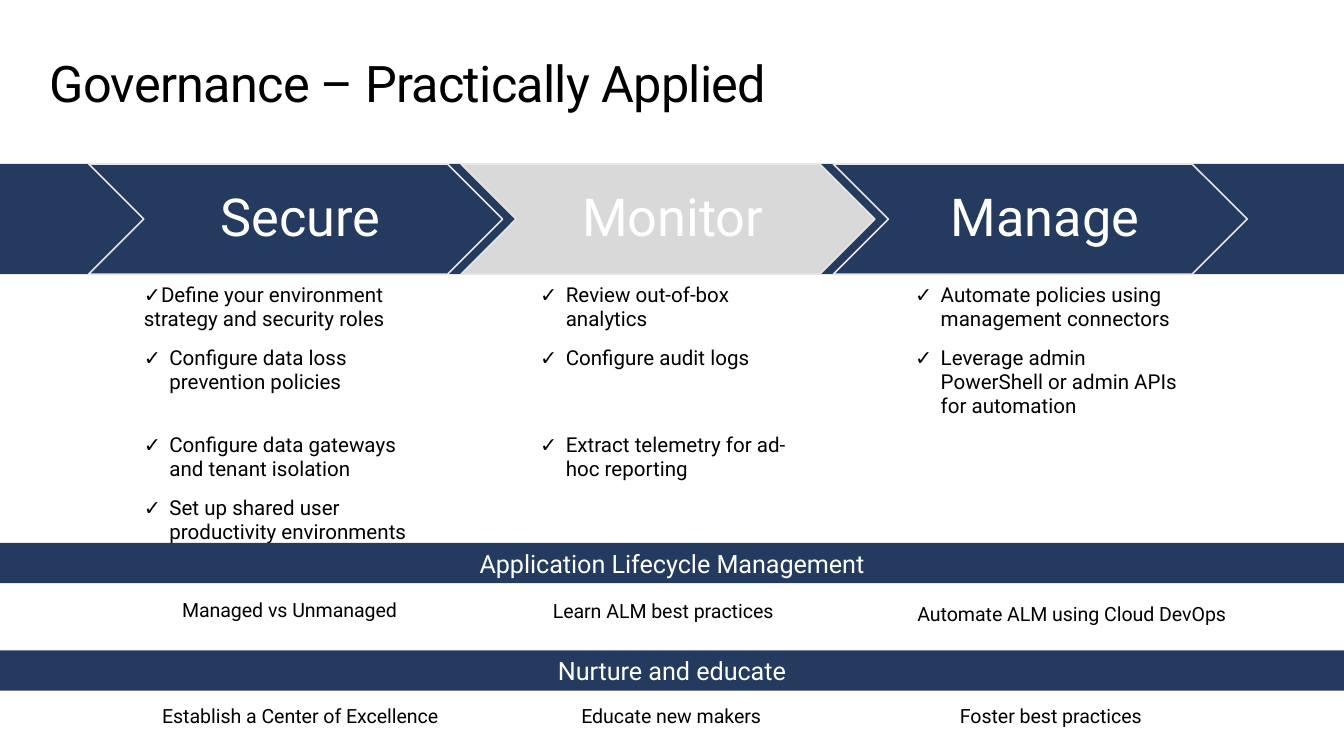
from typing import NamedTuple

from lxml.etree import SubElement
from pptx import Presentation
from pptx.dml.color import RGBColor
from pptx.enum.shapes import MSO_SHAPE as Shape
from pptx.enum.text import MSO_ANCHOR as Anchor, PP_ALIGN as Align
from pptx.oxml.ns import qn
from pptx.util import Emu, Pt

PX = 9144  # 100 px to the inch
FONT = "Roboto"
NAVY, GREY, EDGE = "243A5E", "D9D9D9", "E6E6E6"
BLACK, WHITE = "000000", "FFFFFF"
HANG = 19


class Stage(NamedTuple):
    name: str
    left: int
    fill: str
    tasks: list[str]


class Note(NamedTuple):
    text: str
    left: int
    top: int
    width: int


class Band(NamedTuple):
    name: str
    top: int
    notes: list[Note]


STAGES = [
    Stage("Secure", 66, NAVY, [
        "Define your environment strategy and security roles",
        "Configure data loss prevention policies",
        "Configure data gateways and tenant isolation",
        "Set up shared user productivity environments"]),
    Stage("Monitor", 343, GREY, [
        "Review out-of-box analytics",
        "Configure audit logs",
        "Extract telemetry for ad-hoc reporting"]),
    Stage("Manage", 620, NAVY, [
        "Automate policies using management connectors",
        "Leverage admin PowerShell or admin APIs for automation"]),
]
BANDS = [
    Band("Nurture and educate", 484, [
        Note("Establish a Center of Excellence", 110, 519, 227),
        Note("Foster best practices", 674, 519, 216),
        Note("Educate new makers", 396, 519, 207)]),
    Band("Application Lifecycle Management", 404, [
        Note("Managed vs Unmanaged", 38, 440, 355),
        Note("Learn ALM best practices", 316, 441, 355),
        Note("Automate ALM using Cloud DevOps", 620, 443, 355)]),
]
COLUMNS = [231, 64, 221, 58, 225]
ROW_COUNT, ROW_HEIGHT = 4, 31


def px(*lengths: int) -> list[Emu]:
    return [Emu(length * PX) for length in lengths]


def colour(code: str) -> RGBColor:
    return RGBColor.from_string(code)


def write(frame, text: str, *, size: float, ink: str = BLACK, align=None,
          anchor=None, insets=None, leading=None, tracking: int = 0) -> None:
    frame.word_wrap = True
    if anchor is not None:
        frame.vertical_anchor = anchor
    if insets:
        (frame.margin_left, frame.margin_top,
         frame.margin_right, frame.margin_bottom) = px(*insets)
    para = frame.paragraphs[0]
    para.alignment = align
    para.line_spacing = leading
    span = para.add_run()
    span.text = text
    span.font.name, span.font.size = FONT, Pt(size)
    span.font.color.rgb = colour(ink)
    if tracking:
        span._r.get_or_add_rPr().set("spc", str(tracking))


def add_text(page, place: tuple[int, ...], text: str, **style) -> None:
    write(page.shapes.add_textbox(*px(*place)).text_frame, text, **style)


def add_block(page, kind, place: tuple[int, ...], fill: str, edge: str = ""):
    block = page.shapes.add_shape(kind, *px(*place))
    block.shadow.inherit = False
    block.fill.solid()
    block.fill.fore_color.rgb = colour(fill)
    if edge:
        block.line.color.rgb = colour(edge)
        block.line.width = Pt(0.85)
    else:
        block.line.fill.background()
    return block


def add_tick(para, indent: int) -> None:
    props = para._p.get_or_add_pPr()
    props.set("marL", str(indent * PX))
    props.set("indent", str(-HANG * PX))
    SubElement(props, qn("a:buFont")).set("typeface", FONT)
    SubElement(props, qn("a:buChar")).set("char", "✓")


def add_tasks(page) -> None:
    """Put each stage's tasks in every second column; rows grow to fit."""
    table = page.shapes.add_table(
        ROW_COUNT, len(COLUMNS),
        *px(97, 206, sum(COLUMNS), ROW_COUNT * ROW_HEIGHT)).table
    table.first_row = table.horz_banding = False
    for column, width in zip(table.columns, COLUMNS):
        column.width = Emu(width * PX)
    for cell in table.iter_cells():
        cell.fill.background()
        cell.text_frame.paragraphs[0].font.size = Pt(11)
    for index, stage in enumerate(STAGES):
        for row, task in enumerate(stage.tasks):
            frame = table.cell(row, index * 2).text_frame
            para = frame.paragraphs[0]
            para._p.remove(para._p.pPr)
            add_tick(para, HANG if index or row else 0)
            write(frame, task, size=11)


def add_stage(page, stage: Stage) -> None:
    add_block(page, Shape.CHEVRON, (stage.left, 122, 308, 82), stage.fill, EDGE)
    add_text(page, (stage.left + 41, 122, 225, 82), stage.name, size=28,
             ink=WHITE, align=Align.CENTER, anchor=Anchor.MIDDLE,
             insets=(12, 4, 4, 4), leading=0.9)


def add_band(page, band: Band) -> None:
    bar = add_block(page, Shape.RECTANGLE, (0, band.top, 1000, 30), NAVY)
    write(bar.text_frame, band.name, size=13.5, ink=WHITE, align=Align.CENTER,
          anchor=Anchor.MIDDLE, insets=(15, 12, 15, 12))
    for note in band.notes:
        add_text(page, (note.left, note.top, note.width, 28), note.text,
                 size=10.5, align=Align.CENTER)


def main() -> None:
    deck = Presentation()
    deck.slide_width = Emu(1000 * PX)
    deck.slide_height = Emu(deck.slide_width * 9 // 16)
    page = deck.slides.add_slide(deck.slide_layouts[6])
    add_block(page, Shape.RECTANGLE, (0, 122, 1000, 82), NAVY)
    add_text(page, (37, 51, 927, 34), "Governance – Practically Applied",
             size=27, insets=(0, 0, 0, 0), leading=Pt(23.5), tracking=-40)
    add_tasks(page)
    for stage in STAGES:
        add_stage(page, stage)
    for band in BANDS:
        add_band(page, band)
    deck.save("out.pptx")


if __name__ == "__main__":
    main()
